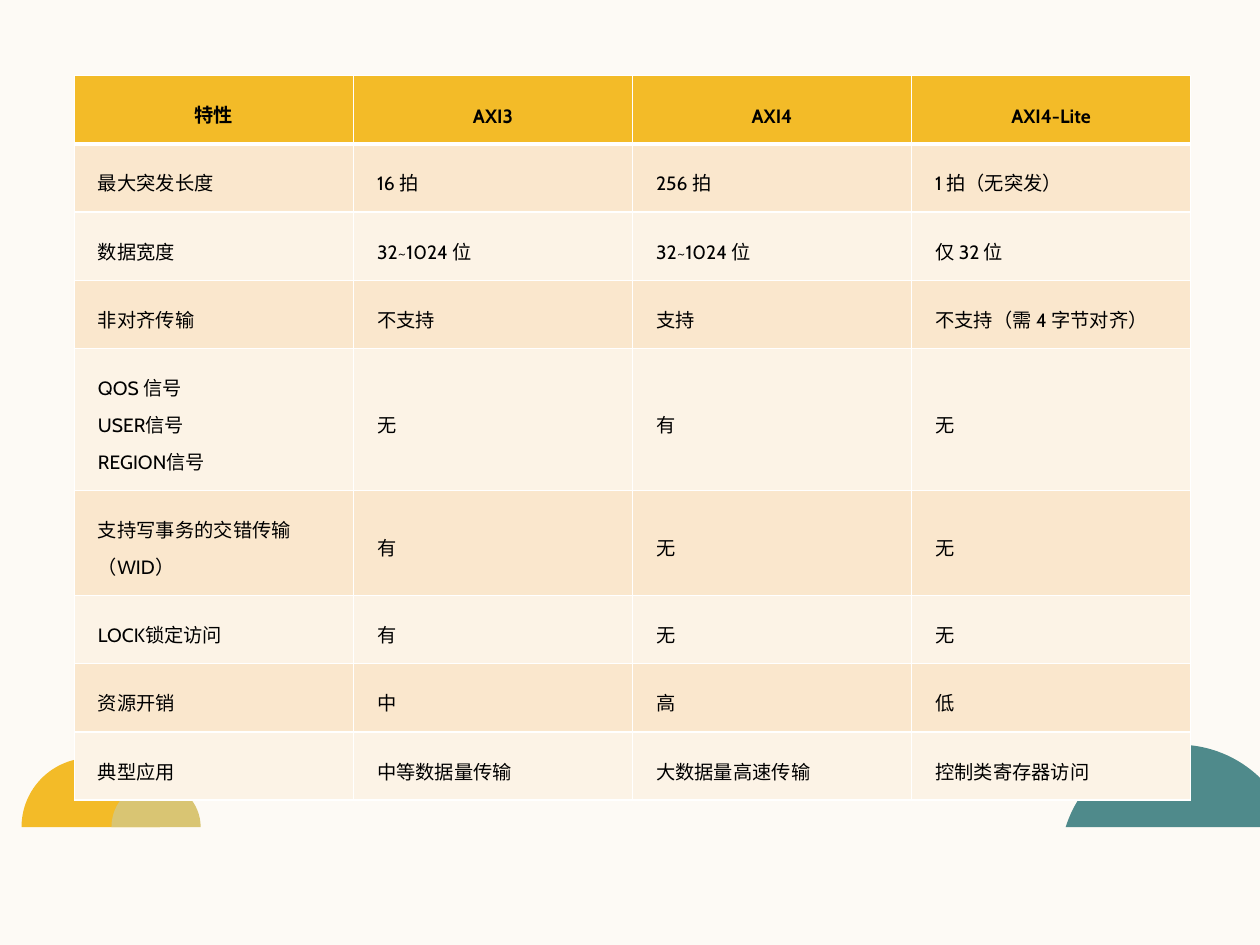
"""Build a slide that compares three bus protocol versions in a table."""
from math import acos, asin, cos, pi, sin, tan

from lxml.etree import Element, SubElement
from pptx import Presentation
from pptx.dml.color import RGBColor
from pptx.enum.shapes import MSO_CONNECTOR
from pptx.enum.text import MSO_ANCHOR, PP_ALIGN
from pptx.oxml.ns import qn
from pptx.util import Pt

ROWS = [
    ("特性", "AXI3", "AXI4", "AXI4-Lite"),
    ("最大突发长度", "16 拍", "256 拍", "1 拍（无突发）"),
    ("数据宽度", "32~1024 位", "32~1024 位", "仅 32 位"),
    ("非对齐传输", "不支持", "支持", "不支持（需 4 字节对齐）"),
    ("QOS 信号\nUSER信号\nREGION信号", "无", "有", "无"),
    ("支持写事务的交错传输（WID）", "有", "无", "无"),
    ("LOCK锁定访问", "有", "无", "无"),
    ("资源开销", "中", "高", "低"),
    ("典型应用", "中等数据量传输", "大数据量高速传输", "控制类寄存器访问"),
]
HEADER_FILL, BAND_FILLS = "F3BB28", ("FCF3E6", "FAE7CD")
YELLOW_DOME = (51.8, 472.6, 39.5, "F3BB28")
TAN_DOME = (89.2, 472.6, 25.5, "D9C573")
TEAL_DOME = (673.2, 492.8, 67.3, "4F8A8B")
TOP_RULE = (48.2, 670.3, 133.9)
BOTTOM_RULE = (91.4, 623.5, 452.9)
PAGE_WIDTH, PAGE_HEIGHT, GROUND = 720, 540, 472.6
TABLE_LEFT, TABLE_TOP, TABLE_WIDTH, ROW_HEIGHT = 42.5, 43.2, 638, 30


def paint(target, color):
    target.fill.solid()
    target.fill.fore_color.rgb = RGBColor.from_string(color)


def add_rule(page, left, right, height):
    rule = page.shapes.add_connector(
        MSO_CONNECTOR.STRAIGHT, Pt(left), Pt(height), Pt(right), Pt(height))
    rule.line.color.rgb = RGBColor.from_string("F8D67E")
    rule.line.width = Pt(0.5)
    SubElement(rule._element.spPr, qn("a:effectLst"))


def add_dome(page, center_x, center_y, radius, color):
    """Draw a disc cut off at the ground line and the right page edge."""
    start = pi - asin((center_y - GROUND) / radius)
    end = acos(min(1, (PAGE_WIDTH - center_x) / radius))
    angles = [start, pi / 2, end]

    def locate(angle, pull=0):
        x = center_x + radius * (cos(angle) - pull * sin(angle))
        y = center_y - radius * (sin(angle) + pull * cos(angle))
        return Pt(x), Pt(y)

    points = [locate(angle) for angle in angles]
    if center_y > GROUND:
        points.append((points[-1][0], Pt(GROUND)))
    builder = page.shapes.build_freeform(*points[0])
    builder.add_line_segments(points[1:], close=True)
    dome = builder.convert_to_shape()
    segments = dome._element.xpath(".//a:lnTo")
    for segment, first, last in zip(segments, angles, angles[1:]):
        pull = 4 / 3 * tan((last - first) / 4)
        segment.tag = qn("a:cubicBezTo")
        for index, (x, y) in enumerate((locate(first, pull), locate(last, -pull))):
            handle = Element(qn("a:pt"), x=str(x - dome.left), y=str(y - dome.top))
            segment.insert(index, handle)
    dome.shadow.inherit = False
    paint(dome, color)
    dome.line.fill.background()


def add_borders(cell, top, bottom):
    properties = cell._tc.get_or_add_tcPr()
    for side, width in (("L", 1), ("R", 1), ("T", top), ("B", bottom)):
        line = SubElement(properties, qn(f"a:ln{side}"), w=str(Pt(width)))
        SubElement(SubElement(line, qn("a:solidFill")), qn("a:srgbClr"), val="FFFFFF")


def fill_cell(cell, text, row):
    header = row == 0
    add_borders(cell, 3 if row == 1 else 1, 3 if header else 1)
    paint(cell, HEADER_FILL if header else BAND_FILLS[row % 2])
    cell.vertical_anchor = MSO_ANCHOR.MIDDLE
    cell.margin_left = cell.margin_right = Pt(13.5)
    cell.margin_top = cell.margin_bottom = Pt(9)
    cell.text = text
    for para in cell.text_frame.paragraphs:
        para.alignment = PP_ALIGN.CENTER if header else PP_ALIGN.LEFT
        para.line_spacing = Pt(21)
        para.font.name = "Cabin"
        para.font.size = Pt(11)
        para.font.bold = header
        para.font.color.rgb = RGBColor.from_string("000000")


def main():
    deck = Presentation()
    deck.slide_width, deck.slide_height = Pt(PAGE_WIDTH), Pt(PAGE_HEIGHT)
    page = deck.slides.add_slide(deck.slide_layouts[6])
    paint(page.background, "FDFAF5")
    add_rule(page, *TOP_RULE)
    add_dome(page, *YELLOW_DOME)
    add_rule(page, *BOTTOM_RULE)
    add_dome(page, *TAN_DOME)
    add_dome(page, *TEAL_DOME)
    table = page.shapes.add_table(
        len(ROWS), len(ROWS[0]), Pt(TABLE_LEFT), Pt(TABLE_TOP),
        Pt(TABLE_WIDTH), Pt(ROW_HEIGHT * len(ROWS)),
    ).table
    for row, texts in enumerate(ROWS):
        for column, text in enumerate(texts):
            fill_cell(table.cell(row, column), text, row)
    deck.save("out.pptx")


if __name__ == "__main__":
    main()
